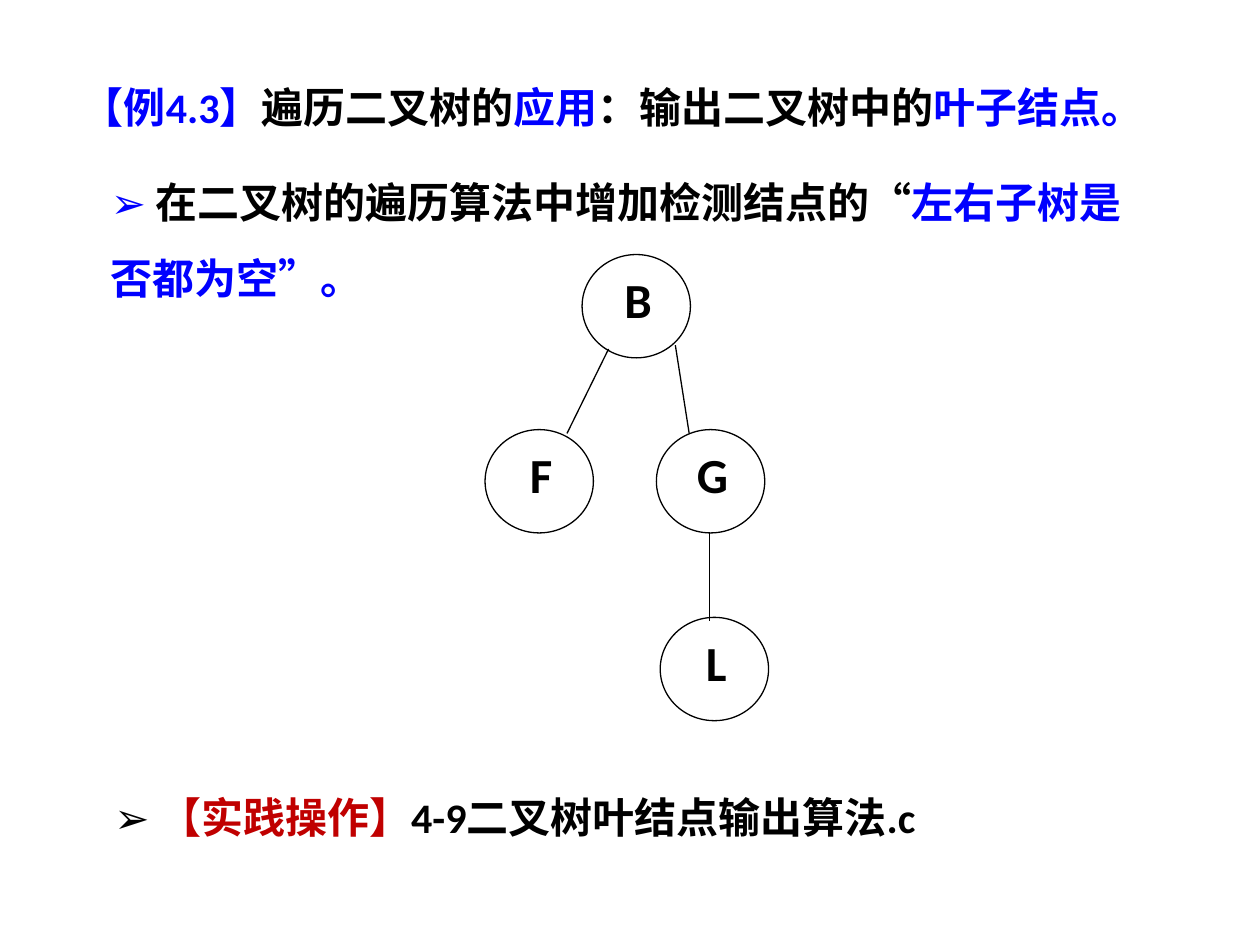
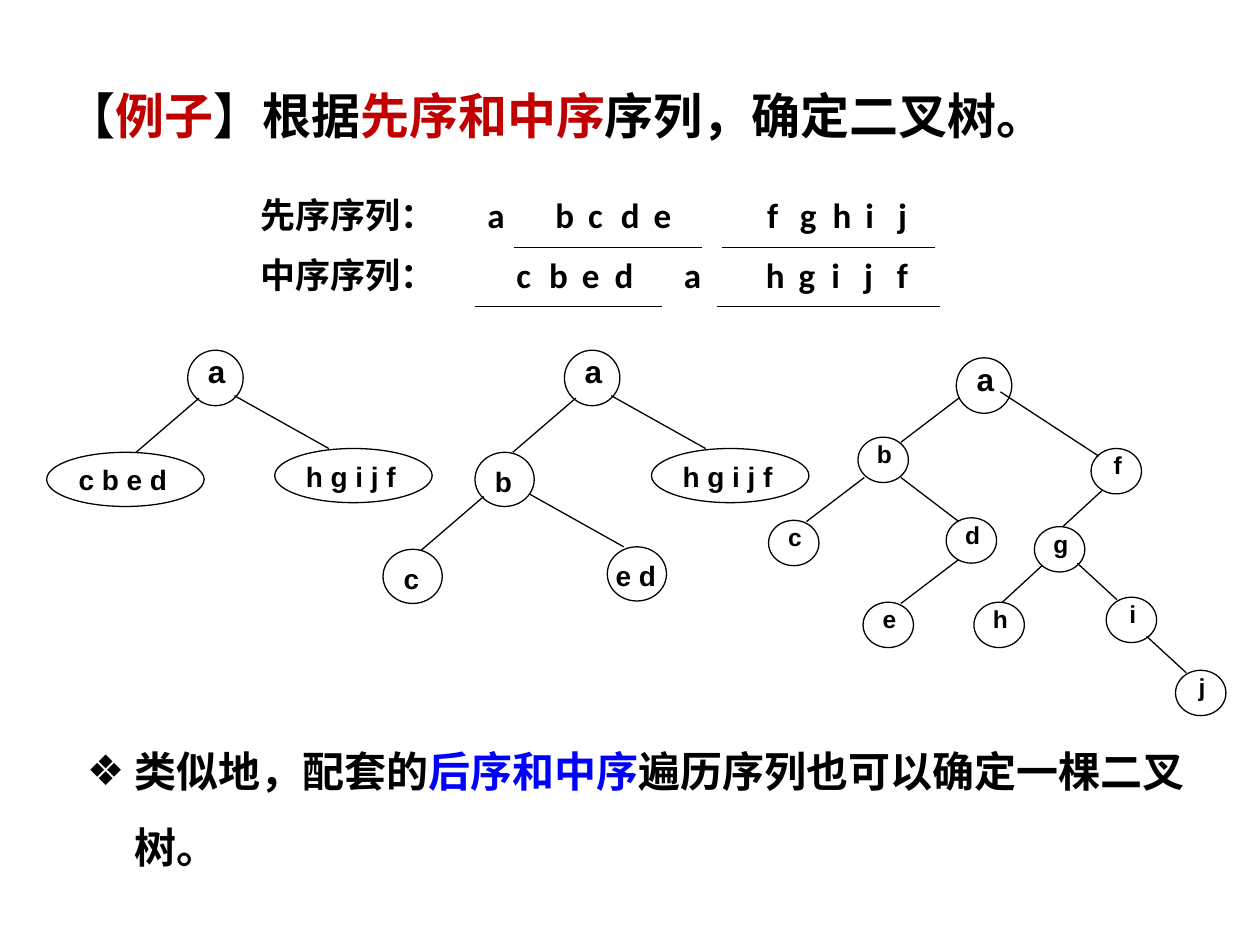
from dataclasses import dataclass
from typing import NamedTuple

from lxml.etree import SubElement as Sub
from pptx import Presentation
from pptx.dml.color import RGBColor as Rgb
from pptx.enum.shapes import MSO_CONNECTOR as Conn, MSO_SHAPE as Geo
from pptx.enum.text import MSO_ANCHOR as Anchor, MSO_AUTO_SIZE as Fit, PP_ALIGN as Align
from pptx.oxml.ns import qn
from pptx.util import Emu, Inches, Pt

WIDE, HIGH = Inches(10), Inches(7.5)
COLS = 100  # square cells: 100 columns by 75 rows
CELL = WIDE / COLS


@dataclass(frozen=True)
class Theme:
    ink: Rgb = Rgb(0, 0, 0)
    paper: Rgb = Rgb(255, 255, 255)
    blue: Rgb = Rgb(0, 0, 255)
    red: Rgb = Rgb(192, 0, 0)
    font: str = "Calibri"
    cjk: str = "Noto Sans CJK SC"
    mark: str = "Arial"
    head: int = 28
    text: int = 24
    row: int = 20
    line: float = 0.75


LOOK = Theme()


class Box(NamedTuple):
    x: float
    y: float
    w: float
    h: float


class Bit(NamedTuple):
    text: str
    color: Rgb = LOOK.ink
    font: str | None = None


class Kind(NamedTuple):
    """Size of a node, place of its label inside it, and label type."""
    w: float
    h: float
    label: Box
    size: int
    font: str = LOOK.mark
    lead: float = 0.64


class Step(NamedTuple):
    dx: float
    dy: float


class Node(NamedTuple):
    """A node and the link that comes down to it from its parent."""
    text: str
    kind: Kind
    x: float
    y: float
    start: tuple[float, float] | None = None
    step: Step | None = None


BIG = Kind(8.6, 8.2, Box(2.1, 2.1, 4.7, 3.8), 28, LOOK.font, 0.8)
ROOT = Kind(4.4, 4.4, Box(1.2, 1.1, 2.2, 2.2), 18)
OVAL = Kind(12.5, 4.3, Box(2.3, 1.7, 7.5, 2.1), 16)
MID = Kind(4.7, 4.3, Box(-1.5, 1.8, 7.5, 2.1), 16)
SMALL = Kind(4, 3.6, Box(1.1, 0.9, 2, 1.8), 14)

WEST, EAST = Step(-5, 4.3), Step(7.5, 4.2)
LEFT, RIGHT = Step(-4.6, 3.5), Step(4.6, 3.5)
DOWN, UP = Step(-3.15, 2.9), Step(3.15, 2.9)

LEAF = [
    Node("B", BIG, 46.2, 20.2),
    Node("F", BIG, 38.5, 34.1, (48.3, 27.7), Step(-3.3, 6.7)),
    Node("G", BIG, 52.1, 34.1, (53.6, 27.4), Step(1.1, 7)),
    Node("L", BIG, 52.4, 49, (56.3, 42.3), Step(0, 7)),
]


def crown(x: float, left: str, kind: Kind) -> list[Node]:
    """Root a with its first split in two."""
    return [
        Node("a", ROOT, x, 27.8),
        Node(left, kind, x - (11.2 if kind is OVAL else 7.1), 35.9,
             (x + 0.9, 31.6), WEST),
        Node("h g i j f", OVAL, x + 6.9, 35.6, (x + 3.7, 31.4), EAST),
    ]


STAGES = [
    *crown(14.9, "c b e d", OVAL),
    *crown(44.8, "b", MID),
    Node("c", MID, 30.4, 43.6, (38.4, 39.4), WEST),
    Node("e d", MID, 48.2, 43.4, (42, 39.2), EAST),
    Node("a", ROOT, 75.9, 28.4),
    Node("b", SMALL, 68.1, 34.7, (76.1, 31.6), LEFT),
    Node("c", SMALL, 61, 41.3, (68.6, 37.9), LEFT),
    Node("d", SMALL, 75.1, 41.1, (71.5, 37.9), RIGHT),
    Node("e", SMALL, 68.5, 47.8, (76.1, 44.4), LEFT),
    Node("f", SMALL, 86.6, 35.6, (79.4, 31.1), Step(7.8, 5.1)),
    Node("g", SMALL, 82.1, 41.8, (87.5, 38.9), DOWN),
    Node("h", SMALL, 77.3, 47.8, (82.7, 44.9), DOWN),
    Node("i", SMALL, 87.8, 47.4, (85.5, 44.7), UP),
    Node("j", SMALL, 93.3, 53.2, (91, 50.5), UP),
]


class Row(NamedTuple):
    """A line of the order table: words by column, then its rules."""
    y: float
    words: list[tuple[float, str]]
    rules: list[tuple[float, float]]


ORDERS = [
    Row(14.9, [(19.7, "先序序列："), (37.7, "a"), (43.1, "b c d e"),
               (59.9, "f g h i j")], [(40.8, 55.7), (57.3, 74.2)]),
    Row(19.6, [(19.7, "中序序列："), (40, "c b e d"), (53.3, "a"),
               (59.8, "h g i j f")], [(37.7, 52.5), (56.9, 74.6)]),
]
TAB = 2.6


def cells(n: float) -> Emu:
    return Emu(round(n * CELL))


def place(shape, box: Box) -> None:
    shape.left, shape.top, shape.width, shape.height = map(cells, box)


def style(para, size: int, font: str = LOOK.font) -> None:
    para.font.size = Pt(size)
    para.font.name = font
    para.font.bold = True


def write(shape, bits: list[Bit], size: int, lead: float = 1.0) -> None:
    """Fill a text shape with one paragraph of coloured runs."""
    frame = shape.text_frame
    frame.word_wrap = True
    frame.auto_size = Fit.NONE
    frame.vertical_anchor = Anchor.TOP
    para = frame.paragraphs[0]
    para.alignment = Align.LEFT
    para.line_spacing = lead
    para.space_before = Pt(0)
    style(para, size)
    for bit in bits:
        run = para.add_run()
        run.text = bit.text
        run.font.color.rgb = bit.color
        if bit.font:
            run.font.name = bit.font


def bullet(shape, char: str | None, indent: float) -> None:
    props = shape.text_frame.paragraphs[0]._p.get_or_add_pPr()
    props.set("marL", str(cells(indent)))
    props.set("indent", str(-cells(indent)))
    if char:
        Sub(props, qn("a:buChar")).set("char", char)
    else:
        Sub(props, qn("a:buNone"))


def rule(slide, x: float, y: float, step: Step) -> None:
    ends = map(cells, (x, y, x + step.dx, y + step.dy))
    line = slide.shapes.add_connector(Conn.STRAIGHT, *ends)
    line.line.color.rgb = LOOK.ink
    line.line.width = Pt(LOOK.line)
    Sub(line._element.spPr, qn("a:effectLst"))


def ring(slide, node: Node) -> None:
    box = Box(node.x, node.y, node.kind.w, node.kind.h)
    oval = slide.shapes.add_shape(Geo.OVAL, *map(cells, box))
    oval.shadow.inherit = False
    oval.fill.solid()
    oval.fill.fore_color.rgb = LOOK.paper
    oval.line.color.rgb = LOOK.ink
    oval.line.width = Pt(LOOK.line)


def label(slide, node: Node) -> None:
    kind = node.kind
    spot = kind.label._replace(x=node.x + kind.label.x, y=node.y + kind.label.y)
    frame = slide.shapes.add_textbox(*map(cells, spot)).text_frame
    frame.margin_left = frame.margin_right = 0
    frame.margin_top = frame.margin_bottom = 0
    frame.word_wrap = True
    para = frame.paragraphs[0]
    para.text = node.text
    para.alignment = Align.CENTER
    para.line_spacing = kind.lead
    style(para, kind.size, kind.font)
    para.font.color.rgb = LOOK.ink


def tree(slide, nodes: list[Node]) -> None:
    for node in nodes:
        ring(slide, node)
    for node in nodes:
        if node.start and node.step:
            rule(slide, *node.start, node.step)
    for node in nodes:
        label(slide, node)


def order(slide, row: Row) -> None:
    """Draw one sequence, its letters on even tab stops."""
    for x, text in row.words:
        box = slide.shapes.add_textbox(*map(cells, (x, row.y, 17, 4.4)))
        props = box.text_frame.paragraphs[0]._p.get_or_add_pPr()
        stops = Sub(props, qn("a:tabLst"))
        for n in range(1, len(text.split())):
            stop = Sub(stops, qn("a:tab"))
            stop.set("pos", str(cells(n * TAB)))
            stop.set("algn", "l")
        write(box, [Bit(text.replace(" ", "\t"))], LOOK.row)
    for x, end in row.rules:
        rule(slide, x, row.y + 4.75, Step(end - x, 0))


def start(deck, box: Box, bits: list[Bit], size: int):
    """Add a slide with its title set."""
    slide = deck.slides.add_slide(deck.slide_layouts[1])
    place(slide.shapes.title, box)
    write(slide.shapes.title, bits, size)
    return slide


def body(slide, box: Box, bits: list[Bit], char: str | None, indent: float) -> None:
    hold = slide.placeholders[1]
    place(hold, box)
    bullet(hold, char, indent)
    write(hold, bits, LOOK.text, 1.5)


def leaves(deck) -> None:
    slide = start(deck, Box(5.5, 6, 90, 5), [
        Bit("【例4.3】", LOOK.blue), Bit("遍历二叉树的"), Bit("应用", LOOK.blue),
        Bit("：输出二叉树中的"), Bit("叶子结点。", LOOK.blue)], LOOK.text)
    body(slide, Box(7.8, 11.5, 84.4, 12.4), [
        Bit("➢ ", LOOK.blue), Bit("在二叉树的遍历算法中增加检测结点的“"),
        Bit("左右子树是否都为空”。", LOOK.blue)], None, 0)
    task = slide.shapes.add_textbox(*map(cells, (8.1, 60.3, 84.4, 6.4)))
    write(task, [Bit("➢ "), Bit("【实践操作】", LOOK.red, LOOK.cjk),
                 Bit("4-9二叉树叶结点输出算法.c")], LOOK.text, 1.5)
    tree(slide, LEAF)


def rebuild(deck) -> None:
    slide = start(deck, Box(4.3, 6.3, 90, 5.7), [
        Bit("【"), Bit("例子", LOOK.red, LOOK.cjk), Bit("】根据"),
        Bit("先序和中序", LOOK.red), Bit("序列，确定二叉树。")], LOOK.head)
    for row in ORDERS:
        order(slide, row)
    tree(slide, STAGES)
    body(slide, Box(5.9, 56.7, 89.4, 13.1), [
        Bit("类似地，配套的"), Bit("后序和中序", LOOK.blue),
        Bit("遍历序列也可以确定一棵二叉树。")], "❖", 3.8)


def main() -> None:
    deck = Presentation()
    deck.slide_width, deck.slide_height = WIDE, HIGH
    leaves(deck)
    rebuild(deck)
    deck.save("out.pptx")


if __name__ == "__main__":
    main()
